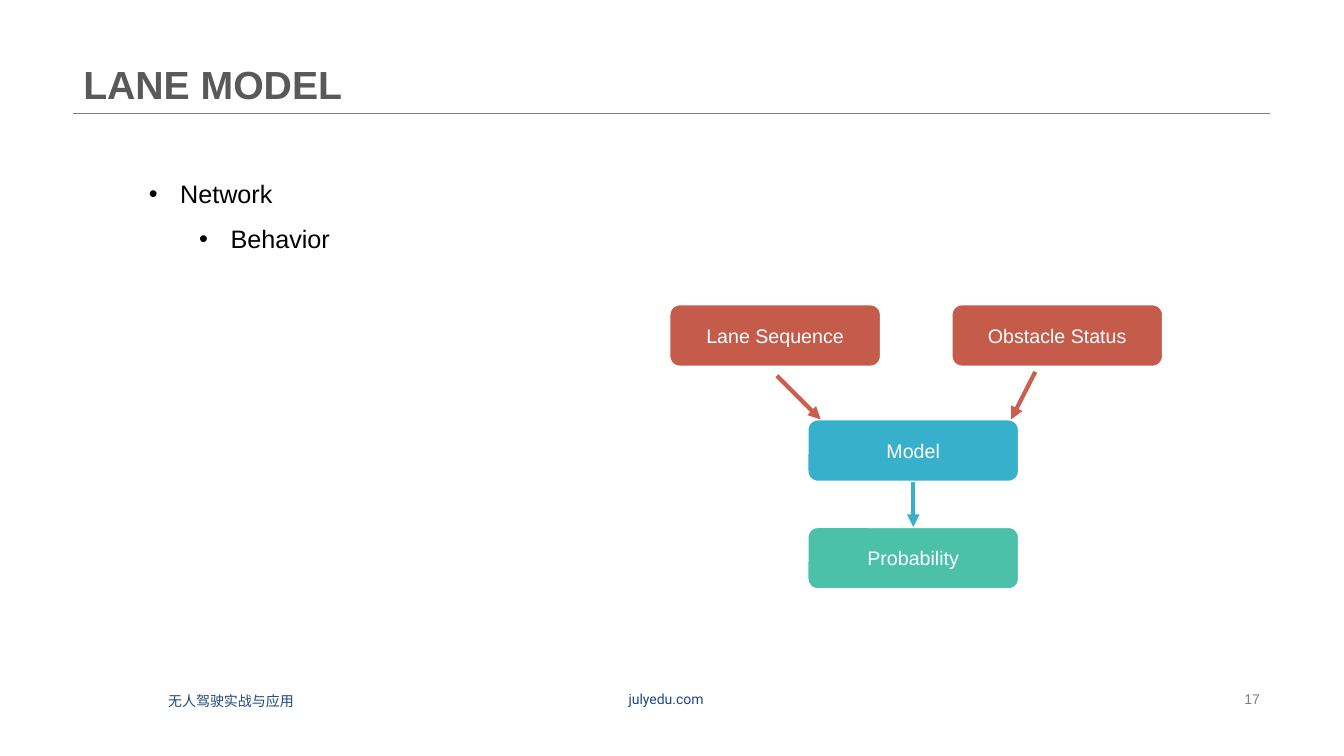
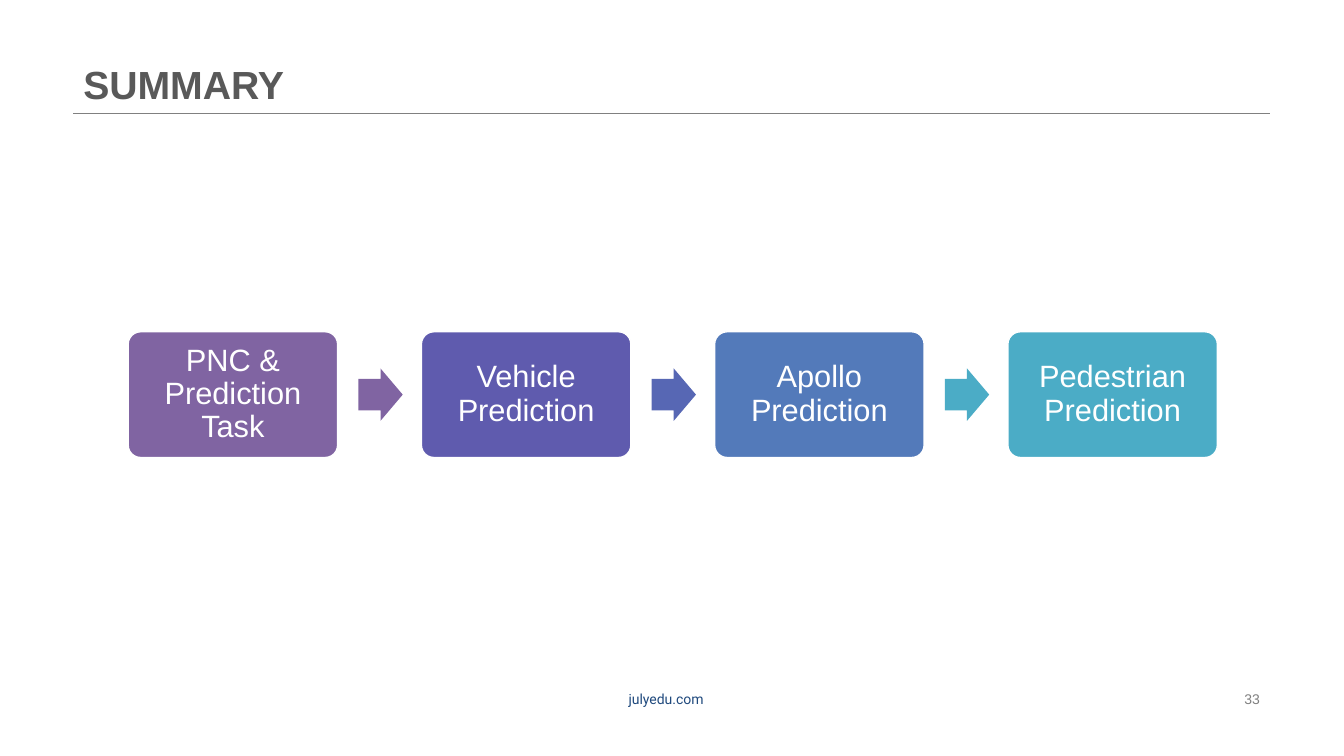
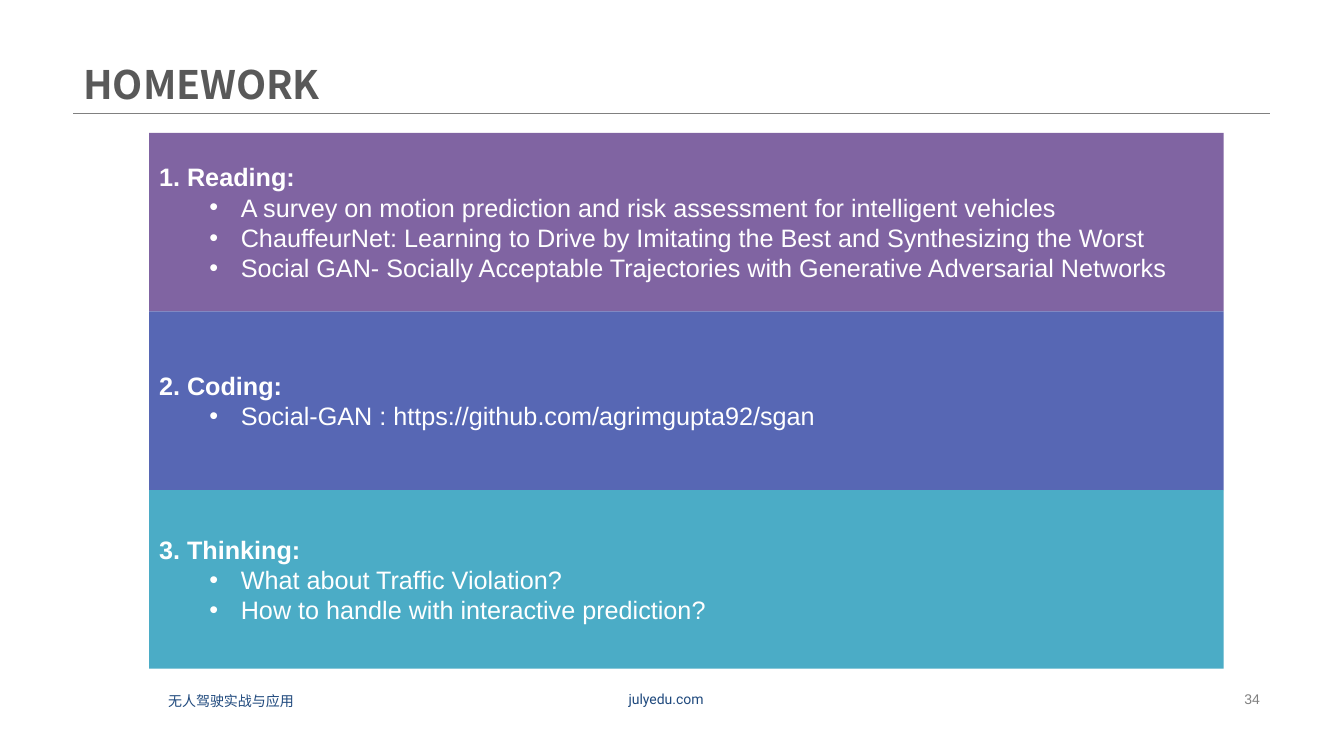
from dataclasses import dataclass
from typing import Optional

import lxml.etree
import pptx
import pptx.dml.color
import pptx.enum.shapes
import pptx.enum.text
import pptx.oxml.ns
import pptx.util

Cm = pptx.util.Cm
Pt = pptx.util.Pt
RGBColor = pptx.dml.color.RGBColor
Shapes = pptx.enum.shapes.MSO_SHAPE
Align = pptx.enum.text.PP_ALIGN
Anchor = pptx.enum.text.MSO_ANCHOR
qn = pptx.oxml.ns.qn

# Shared colours and fonts
WHITE = RGBColor(0xFF, 0xFF, 0xFF)
BLACK = RGBColor(0x00, 0x00, 0x00)
TITLE_GREY = RGBColor(0x59, 0x59, 0x59)
RULE_GREY = RGBColor(0x80, 0x80, 0x80)
NAVY = RGBColor(0x1F, 0x49, 0x7D)
RED = RGBColor(0xC5, 0x5B, 0x4A)
ARROW_RED = RGBColor(0xC9, 0x60, 0x4F)
CYAN = RGBColor(0x37, 0xB0, 0xCB)
GREEN = RGBColor(0x4C, 0xC1, 0xAA)
PURPLE = RGBColor(0x80, 0x64, 0xA2)
VIOLET = RGBColor(0x5F, 0x5B, 0xAE)
INDIGO = RGBColor(0x57, 0x67, 0xB4)
BLUE = RGBColor(0x53, 0x7A, 0xBA)
TEAL = RGBColor(0x4B, 0xAC, 0xC6)

BODY_FONT = "Arial"
CJK_FONT = "Noto Sans CJK SC"
WEB_FONT = "Roboto"
COURSE = "无人驾驶实战与应用"
MARGIN_LEFT, MARGIN_RIGHT, RULE_Y = 1.85, 32.0, 2.84


@dataclass(frozen=True)
class Box:
    """A rectangle in centimetres."""
    left: float
    top: float
    width: float
    height: float

    def lengths(self) -> tuple:
        return Cm(self.left), Cm(self.top), Cm(self.width), Cm(self.height)


@dataclass(frozen=True)
class TextStyle:
    size: float
    color: RGBColor
    font: str = BODY_FONT
    bold: bool = False
    align: Align = Align.LEFT
    anchor: Anchor = Anchor.TOP
    spacing: float = 1.0


@dataclass(frozen=True)
class Step:
    label: str
    fill: RGBColor
    arrow_fill: Optional[RGBColor] = None


@dataclass(frozen=True)
class Task:
    heading: str
    items: tuple
    fill: RGBColor


NODE_STYLE = TextStyle(14, WHITE, align=Align.CENTER, anchor=Anchor.MIDDLE)
STEP_STYLE = TextStyle(22, WHITE, align=Align.CENTER, anchor=Anchor.MIDDLE, spacing=0.9)
TASK_STYLE = TextStyle(18, WHITE, anchor=Anchor.MIDDLE)
LIST_STYLE = TextStyle(18, BLACK, spacing=1.5)


# Text and shape helpers
def style_paragraph(paragraph, style: TextStyle) -> None:
    paragraph.alignment = style.align
    paragraph.line_spacing = style.spacing
    for run in paragraph.runs:
        run.font.size = Pt(style.size)
        run.font.name = style.font
        run.font.bold = style.bold
        run.font.color.rgb = style.color


def write(shape, text: str, style: TextStyle) -> None:
    frame = shape.text_frame
    frame.word_wrap = True
    frame.vertical_anchor = style.anchor
    frame.text = text
    for paragraph in frame.paragraphs:
        style_paragraph(paragraph, style)


def add_bullet(paragraph, level: int) -> None:
    paragraph.level = level
    properties = paragraph._p.get_or_add_pPr()
    properties.set("marL", str(Cm(0.79 + 1.27 * level)))
    properties.set("indent", str(Cm(-0.79)))
    lxml.etree.SubElement(properties, qn("a:buFont")).set("typeface", "Arial")
    lxml.etree.SubElement(properties, qn("a:buChar")).set("char", "•")


def add_text(slide, box: Box, text: str, style: TextStyle):
    label = slide.shapes.add_textbox(*box.lengths())
    write(label, text, style)
    return label


def add_block(slide, kind: Shapes, box: Box, fill: RGBColor, border: float = 0):
    block = slide.shapes.add_shape(kind, *box.lengths())
    block.shadow.inherit = False
    block.fill.solid()
    block.fill.fore_color.rgb = fill
    if border:
        block.line.color.rgb = WHITE
        block.line.width = Pt(border)
    else:
        block.line.fill.background()
    return block


def add_line(slide, start: tuple, end: tuple, color: RGBColor, width: float,
             arrow: bool = False):
    line = slide.shapes.add_connector(
        pptx.enum.shapes.MSO_CONNECTOR.STRAIGHT,
        Cm(start[0]), Cm(start[1]), Cm(end[0]), Cm(end[1]))
    line.line.color.rgb = color
    line.line.width = Pt(width)
    properties = line._element.spPr
    if arrow:
        outline = properties.find(qn("a:ln"))
        lxml.etree.SubElement(outline, qn("a:tailEnd")).set("type", "triangle")
    lxml.etree.SubElement(properties, qn("a:effectLst"))
    return line


# Frame common to all slides
def new_slide(deck, title: str, number: int, title_font: str = BODY_FONT,
              show_course: bool = True):
    slide = deck.slides.add_slide(deck.slide_layouts[6])
    add_line(slide, (MARGIN_LEFT, RULE_Y), (MARGIN_RIGHT, RULE_Y), RULE_GREY, 0.25)
    add_text(slide, Box(MARGIN_LEFT, 0, MARGIN_RIGHT - MARGIN_LEFT, RULE_Y), title,
             TextStyle(28, TITLE_GREY, title_font, True, anchor=Anchor.BOTTOM, spacing=0.9))
    add_text(slide, Box(13.46, 17.27, 6.65, 0.69), "julyedu.com",
             TextStyle(10, NAVY, WEB_FONT, align=Align.CENTER))
    if show_course:
        add_text(slide, Box(3.99, 17.32, 11.5, 0.58), COURSE, TextStyle(10, NAVY))
    add_text(slide, Box(23.92, 17.32, 8.08, 0.58), str(number),
             TextStyle(10, RULE_GREY, align=Align.RIGHT, anchor=Anchor.MIDDLE))
    return slide


def add_node(slide, left: float, top: float, label: str, fill: RGBColor):
    node = add_block(slide, Shapes.ROUNDED_RECTANGLE, Box(left, top, 5.33, 1.57), fill, 1.5)
    write(node, label, NODE_STYLE)
    return node


def build_lane_model(deck) -> None:
    slide = new_slide(deck, "LANE MODEL", 17)

    # Outline
    outline = add_text(slide, Box(3.5, 3.99, 5.13, 2.41), "Network\nBehavior", LIST_STYLE)
    for level, paragraph in enumerate(outline.text_frame.paragraphs):
        add_bullet(paragraph, level)

    # Network diagram
    add_node(slide, 16.87, 7.67, "Lane Sequence", RED)
    add_node(slide, 23.98, 7.67, "Obstacle Status", RED)
    model = add_node(slide, 20.35, 10.57, "Model", CYAN)
    probability = add_node(slide, 20.35, 13.28, "Probability", GREEN)
    add_line(slide, (19.58, 9.47), (20.68, 10.57), ARROW_RED, 3, arrow=True)
    add_line(slide, (26.09, 9.37), (25.48, 10.57), ARROW_RED, 3, arrow=True)
    output = add_line(slide, (23.01, 12.14), (23.01, 13.28), CYAN, 3, arrow=True)
    output.begin_connect(model, 2)
    output.end_connect(probability, 0)


def build_summary(deck) -> None:
    slide = new_slide(deck, "SUMMARY", 33, show_course=False)
    steps = (
        Step("PNC & Prediction Task", PURPLE, PURPLE),
        Step("Vehicle Prediction", VIOLET, INDIGO),
        Step("Apollo Prediction", BLUE, TEAL),
        Step("Pedestrian Prediction", TEAL),
    )
    left, top, width, height, pitch = 3.23, 8.36, 5.28, 3.17, 7.39
    arrow_width, arrow_height = 1.12, 1.32
    for index, step in enumerate(steps):
        step_left = left + index * pitch
        card = add_block(slide, Shapes.ROUNDED_RECTANGLE,
                         Box(step_left, top, width, height), step.fill, 1)
        card.adjustments[0] = 0.1
        write(card, step.label, STEP_STYLE)
        frame = card.text_frame
        frame.margin_left = frame.margin_right = Cm(0.23)
        frame.margin_top = frame.margin_bottom = Cm(0.23)
        if step.arrow_fill is not None:
            arrow = add_block(slide, Shapes.RIGHT_ARROW,
                              Box(step_left + 5.8, top + (height - arrow_height) / 2,
                                  arrow_width, arrow_height), step.arrow_fill)
            arrow.adjustments[0] = 0.6
            arrow.adjustments[1] = 0.5


def build_homework(deck) -> None:
    slide = new_slide(deck, "HOMEWORK", 34, title_font=CJK_FONT)
    tasks = (
        Task("1. Reading:", (
            "A survey on motion prediction and risk assessment for intelligent vehicles",
            "ChauffeurNet: Learning to Drive by Imitating the Best and Synthesizing the Worst",
            "Social GAN- Socially Acceptable Trajectories with Generative Adversarial Networks",
        ), PURPLE),
        Task("2. Coding:", ("Social-GAN : https://github.com/agrimgupta92/sgan",), INDIGO),
        Task("3. Thinking:", (
            "What about Traffic Violation?",
            "How to handle with interactive prediction?",
        ), TEAL),
    )
    band_height = 4.5
    for index, task in enumerate(tasks):
        band = add_block(slide, Shapes.RECTANGLE,
                         Box(3.76, 3.35 + index * band_height, 27.08, band_height), task.fill)
        write(band, "\n".join((task.heading, *task.items)), TASK_STYLE)
        heading, *items = band.text_frame.paragraphs
        heading.runs[0].font.bold = True
        for item in items:
            add_bullet(item, 1)


def main() -> None:
    deck = pptx.Presentation()
    deck.slide_width, deck.slide_height = Cm(33.87), Cm(19.05)
    build_lane_model(deck)
    build_summary(deck)
    build_homework(deck)
    deck.save("out.pptx")


if __name__ == "__main__":
    main()
